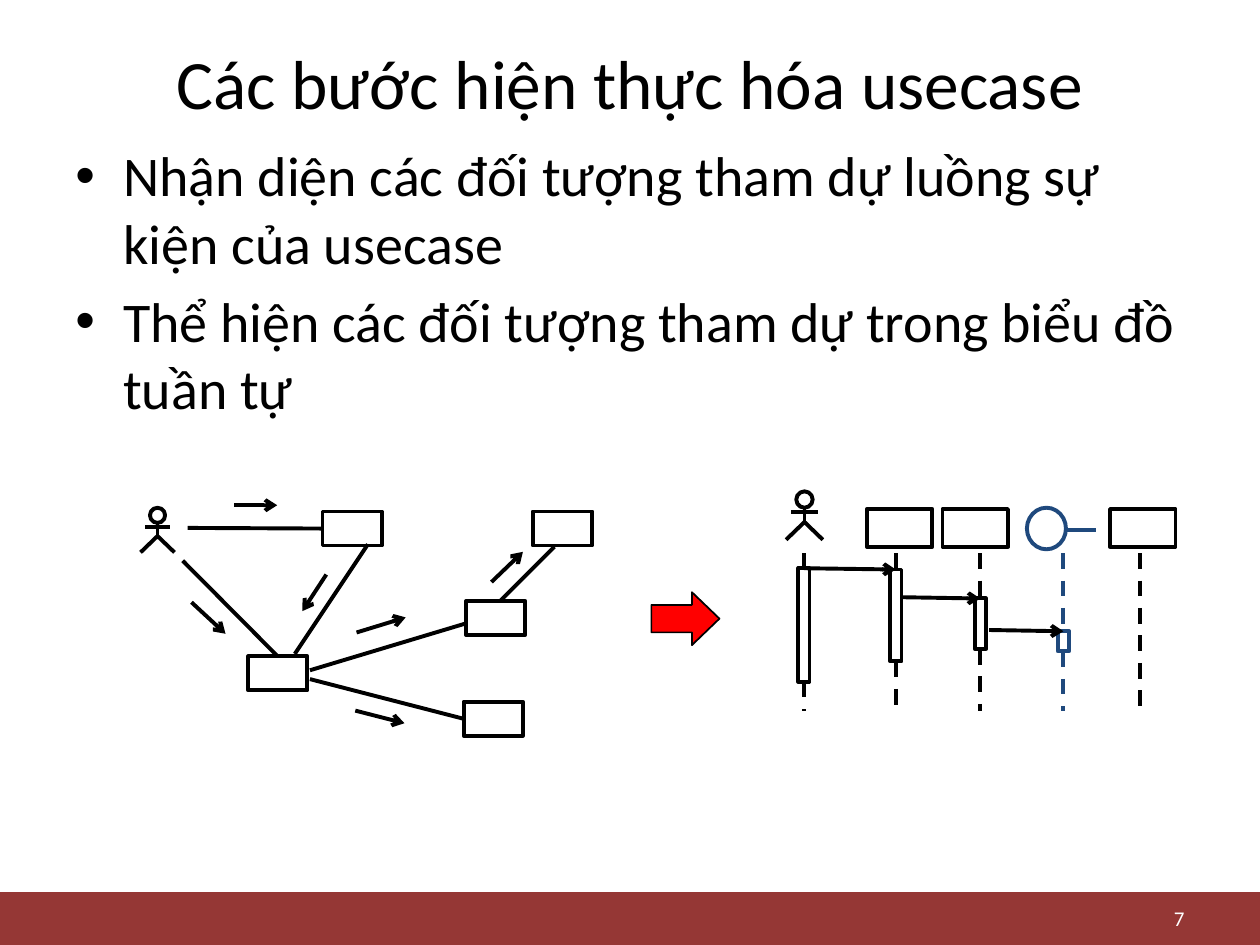
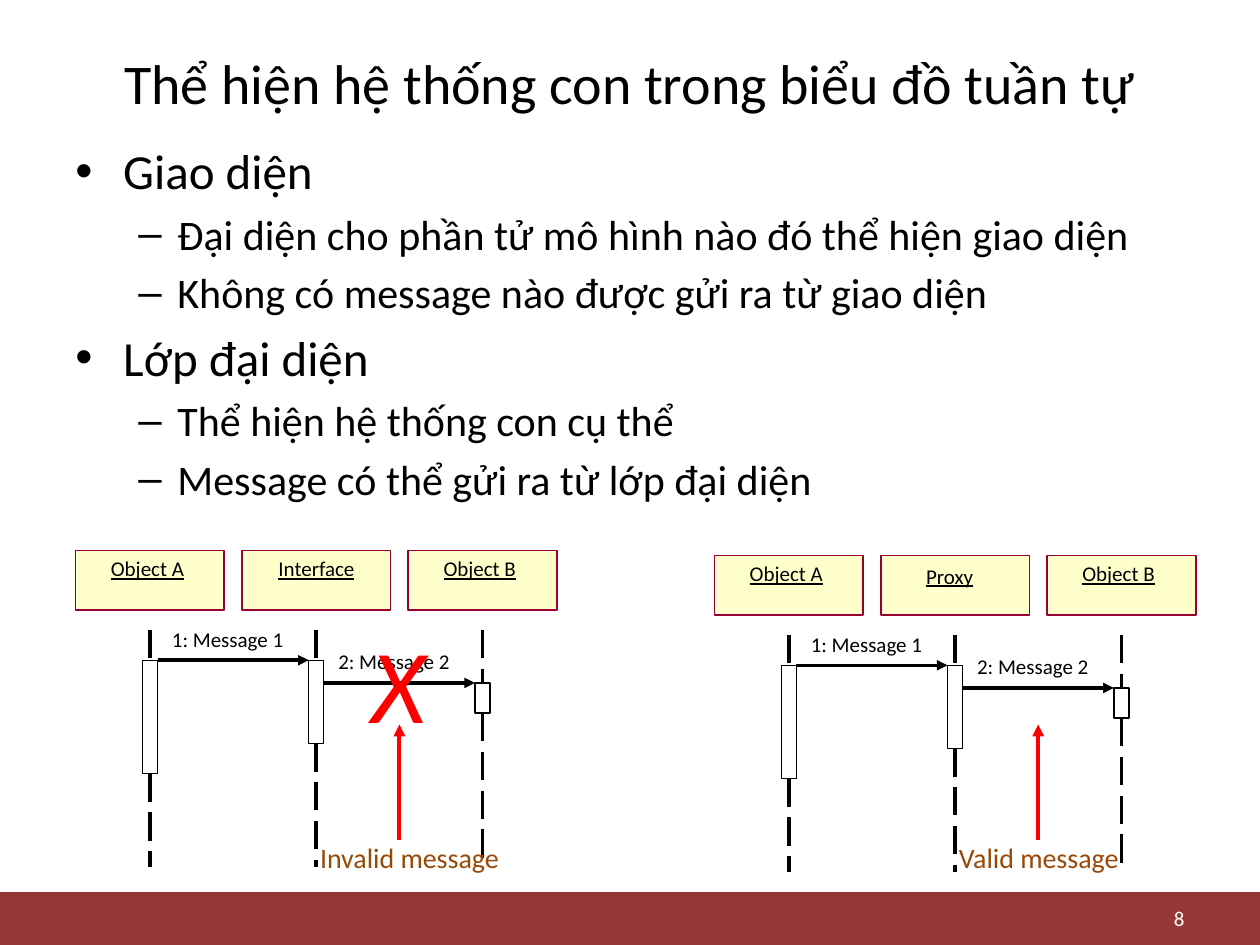
from lxml.etree import SubElement
from pptx import Presentation
from pptx.dml.color import RGBColor
from pptx.enum.dml import MSO_LINE
from pptx.enum.shapes import MSO_CONNECTOR, MSO_SHAPE
from pptx.enum.text import MSO_ANCHOR, PP_ALIGN
from pptx.oxml.ns import qn
from pptx.util import Inches, Pt

COLORS = {
    "text": "000000", "white": "FFFFFF", "band": "953735", "red": "FF0000",
    "blue": "1F497D", "object": "FFFFCC", "object_line": "990033",
    "verdict": "984807",
}
FONT = "Calibri"
COLUMNS, ROWS = 100, 75
TOP, LEFT, BOTTOM = 0, 1, 2  # connection sites of a rectangle
# bullet, left margin and hanging indent (in cells) for each level
BULLETS = [("•", 3.8, 3.8), ("–", 8.1, 3.1)]


def color(name):
    return RGBColor.from_string(COLORS[name])


class Sketch:
    """Holds the deck, the current page and the drawing style, in grid cells."""

    def __init__(self):
        self.deck = Presentation()
        self.deck.slide_width, self.deck.slide_height = Inches(10), Inches(7.5)
        self.page = None
        self.weight, self.dash = 2.25, MSO_LINE.DASH

    def across(self, columns):
        return round(self.deck.slide_width * columns / COLUMNS)

    def down(self, rows):
        return round(self.deck.slide_height * rows / ROWS)

    def place(self, left, top, width, height):
        return (self.across(left), self.down(top),
                self.across(width), self.down(height))

    def new_page(self, number, title, title_size, weight, dash):
        self.page = self.deck.slides.add_slide(self.deck.slide_layouts[6])
        self.weight, self.dash = weight, dash
        self.shape(MSO_SHAPE.RECTANGLE, 0, 70.8, 100, 4.2, fill="band", line=None)
        self.text(title, 5, 3, 90, 7, title_size, align=PP_ALIGN.CENTER,
                  anchor=MSO_ANCHOR.MIDDLE)
        self.text(str(number), 71.7, 71.5, 23.3, 2.7, 12, "white",
                  align=PP_ALIGN.RIGHT, anchor=MSO_ANCHOR.MIDDLE)

    def outline(self, shape, name, weight=None):
        shape.line.color.rgb = color(name)
        shape.line.width = Pt(self.weight if weight is None else weight)

    def shape(self, kind, left, top, width, height, fill=None, line="text",
              weight=None):
        shape = self.page.shapes.add_shape(kind, *self.place(left, top, width, height))
        shape.shadow.inherit = False
        if fill:
            shape.fill.solid()
            shape.fill.fore_color.rgb = color(fill)
        else:
            shape.fill.background()
        if line:
            self.outline(shape, line, weight)
        else:
            shape.line.fill.background()
        return shape

    def box(self, left, top, width, height, **style):
        return self.shape(MSO_SHAPE.RECTANGLE, left, top, width, height, **style)

    def line(self, start, end, name="text", weight=None, head=None, dash=None,
             begin=None, finish=None):
        """Draw a line; begin and finish are (shape, site) pairs to join."""
        line = self.page.shapes.add_connector(
            MSO_CONNECTOR.STRAIGHT, self.across(start[0]), self.down(start[1]),
            self.across(end[0]), self.down(end[1]))
        self.outline(line, name, weight)
        if dash:
            line.line.dash_style = dash
        if head:
            SubElement(line.line._get_or_add_ln(), qn("a:tailEnd"), type=head)
        SubElement(line._element.spPr, qn("a:effectLst"))
        if begin:
            line.begin_connect(*begin)
        if finish:
            line.end_connect(*finish)
        return line

    def frame(self, left, top, width, height, inset=(1, 0.5), wrap=True,
              anchor=MSO_ANCHOR.TOP):
        frame = self.page.shapes.add_textbox(
            *self.place(left, top, width, height)).text_frame
        frame.word_wrap, frame.vertical_anchor = wrap, anchor
        frame.margin_left = frame.margin_right = self.across(inset[0])
        frame.margin_top = frame.margin_bottom = self.down(inset[1])
        return frame

    def style(self, para, size, name="text", underline=None, italic=None):
        para.font.name, para.font.size = FONT, Pt(size)
        para.font.color.rgb = color(name)
        para.font.underline, para.font.italic = underline, italic

    def text(self, words, left, top, width, height, size, name="text",
             align=PP_ALIGN.LEFT, underline=None, italic=None, **layout):
        para = self.frame(left, top, width, height, **layout).paragraphs[0]
        para.text, para.alignment = words, align
        self.style(para, size, name, underline, italic)

    def label(self, words, left, top, width, underline=None):
        self.text(words, left, top, width, 2, 12, underline=underline,
                  inset=(0, 0), wrap=False)

    def bullets(self, items, sizes):
        """Fill the body with (level, words) items."""
        frame = self.frame(5, 10.7, 90, 56.3)
        for index, (level, words) in enumerate(items):
            para = frame.add_paragraph() if index else frame.paragraphs[0]
            para.text, para.level = words, level
            bullet, margin, hanging = BULLETS[level]
            properties = para._p.get_or_add_pPr()
            properties.set("marL", str(self.across(margin)))
            properties.set("indent", str(-self.across(hanging)))
            SubElement(properties, qn("a:buFont"), typeface="Arial")
            SubElement(properties, qn("a:buChar"), char=bullet)
            para.space_before = Pt(0.2 * sizes[level] if index else 0)
            self.style(para, sizes[level])

    def actor(self, center, top, head):
        """Draw a stick figure whose proportions follow its head."""
        hip, foot = top + 1.87 * head, top + 2.95 * head
        arms, reach, stride = top + 1.25 * head, 0.8 * head, 1.12 * head
        self.shape(MSO_SHAPE.OVAL, center - head / 2, top, head, head)
        self.line((center, top + head), (center, hip))
        self.line((center - reach, arms), (center + reach, arms))
        pen = self.page.shapes.build_freeform(
            self.across(center - stride), self.down(foot))
        pen.add_line_segments(
            [(self.across(center), self.down(hip)),
             (self.across(center + stride), self.down(foot))], close=False)
        legs = pen.convert_to_shape()
        legs.shadow.inherit = False
        legs.fill.background()
        self.outline(legs, "text")

    def lifeline(self, x, top, bottom, bar_top, bar_height, bar_width,
                 name="text"):
        """Draw an activation bar with dashed lines above and below it."""
        bar = self.box(x - bar_width / 2, bar_top, bar_width, bar_height, line=name)
        self.line((x, top), (x, bar_top), name, dash=self.dash, finish=(bar, TOP))
        self.line((x, bar_top + bar_height), (x, bottom), name, dash=self.dash,
                  begin=(bar, BOTTOM))
        return bar


def realization_page(sketch):
    sketch.new_page(7, "Các bước hiện thực hóa usecase", 39.6, 2.25, MSO_LINE.DASH)
    sketch.bullets([
        (0, "Nhận diện các đối tượng tham dự luồng sự kiện của usecase"),
        (0, "Thể hiện các đối tượng tham dự trong biểu đồ tuần tự"),
    ], [32])
    transition = sketch.shape(MSO_SHAPE.RIGHT_ARROW, 51.7, 47, 5.4, 4.2,
                              fill="red", weight=1)
    transition.adjustments[0] = transition.adjustments[1] = 0.52

    # Communication diagram: objects, links and message arrows
    sketch.actor(12.5, 40.3, 1.2)
    first, hub, lower, middle, last = [
        sketch.box(left, top, 4.7, 2.7) for left, top in
        [(25.6, 40.6), (19.7, 52.1), (36.8, 55.7), (37, 47.7), (42.3, 40.6)]]
    for start, end, finish in [
        ((14.5, 44.5), (22.1, 52.1), (hub, TOP)),
        ((14.9, 41.9), (25.6, 41.9), (first, LEFT)),
        ((24.6, 53.9), (36.8, 57), (lower, LEFT)),
        ((24.6, 53.2), (36.9, 49.5), None),
        ((39.7, 47.7), (44, 43.4), None),
        ((29.2, 43.2), (23.4, 51.9), None),
    ]:
        sketch.line(start, end, finish=finish)
    for start, end in [
        ((15.2, 47.8), (17.9, 50.3)), ((25.9, 45.6), (24, 48.5)),
        ((28.3, 50.2), (32.2, 49)), ((28.2, 56.4), (32.1, 57.4)),
        ((39, 46.2), (41.5, 43.8)), ((18.6, 40.1), (22, 40.1)),
    ]:
        sketch.line(start, end, head="arrow")

    # Sequence diagram: heads
    sketch.actor(63.85, 39, 1.3)
    for left in (68.8, 74.8, 88.1):
        sketch.box(left, 40.4, 5.2, 3)
    sketch.shape(MSO_SHAPE.OVAL, 81.5, 40.3, 3.1, 3.3, line="blue")
    sketch.line((84.6, 42.1), (87, 42.1), "blue")

    # Sequence diagram: lifelines and messages
    caller, first_bar, second_bar, third_bar = [
        sketch.lifeline(x, 43.9, 56.4, bar_top, height, 0.9, name)
        for x, bar_top, height, name in [
            (63.8, 45.1, 9, "text"), (71.1, 45.2, 7.3, "text"),
            (77.8, 47.5, 4, "text"), (84.4, 50.1, 1.6, "blue")]]
    sketch.line((90.5, 43.9), (90.5, 56.4), dash=sketch.dash)
    for start, end, begin, bar in [
        ((63.8, 45.1), (71.1, 45.2), (caller, TOP), first_bar),
        ((71.5, 47.4), (77.8, 47.5), None, second_bar),
        ((78.5, 50), (84.4, 50.1), None, third_bar),
    ]:
        sketch.line(start, end, head="arrow", begin=begin, finish=(bar, TOP))


def object_sequence(sketch, left, top, objects, verdict, verdict_left, verdict_width):
    """Draw three objects, each with (name, label shift, label drop, label width)."""
    pitch, center, half_bar = 13.2, 5.9, 0.6
    bars = [(8.7, 9), (8.7, 6.6), (10.5, 2.4)]
    for index, (name, shift, drop, width) in enumerate(objects):
        head = left + index * pitch
        bar_top, bar_height = bars[index]
        sketch.box(head, top, 11.8, 4.7, fill="object", line="object_line", weight=1)
        sketch.label(name, head + shift, top + drop, width, underline=True)
        sketch.lifeline(head + center, top + 6.3, top + 25.1, top + bar_top,
                        bar_height, 2 * half_bar)
    for index in range(2):
        x, y = left + center + index * pitch, top + bars[index + 1][0]
        sketch.line((x + half_bar, y), (x + pitch - half_bar, y), head="triangle")
        sketch.label(f"{index + 1}: Message {index + 1}", x + 1.75, y - 2.7, 10)
    pointer = left + 25.7
    sketch.line((pointer, 66.7), (pointer, 57.5), "red", 2.25, "triangle")
    sketch.text(verdict, verdict_left, 66.1, verdict_width, 3.9, 16, "verdict",
                inset=(1.2, 0.6), wrap=False)


def subsystem_page(sketch):
    sketch.new_page(8, "Thể hiện hệ thống con trong biểu đồ tuần tự", 32, 0,
                    MSO_LINE.LONG_DASH)
    sketch.bullets([
        (0, "Giao diện"),
        (1, "Đại diện cho phần tử mô hình nào đó thể hiện giao diện"),
        (1, "Không có message nào được gửi ra từ giao diện"),
        (0, "Lớp đại diện"),
        (1, "Thể hiện hệ thống con cụ thể"),
        (1, "Message có thể gửi ra từ lớp đại diện"),
    ], [28, 24])

    # The interface may not send messages, the proxy may
    object_a, object_b = ("Object A", 2.8, 0.4, 5.9), ("Object B", 2.8, 0.4, 5.8)
    object_sequence(sketch, 6, 43.7, [object_a, ("Interface", 2.9, 0.4, 6.1), object_b],
                    "Invalid message", 24.2, 16.7)
    object_sequence(sketch, 56.7, 44.1, [object_a, ("Proxy", 3.6, 0.6, 3.8), object_b],
                    "Valid message", 74.9, 15.2)
    sketch.text("X", 28.3, 48.5, 9.5, 11.2, 60, "red", italic=True, inset=(1.2, 0.6))


def main():
    sketch = Sketch()
    realization_page(sketch)
    subsystem_page(sketch)
    sketch.deck.save("out.pptx")


if __name__ == "__main__":
    main()
